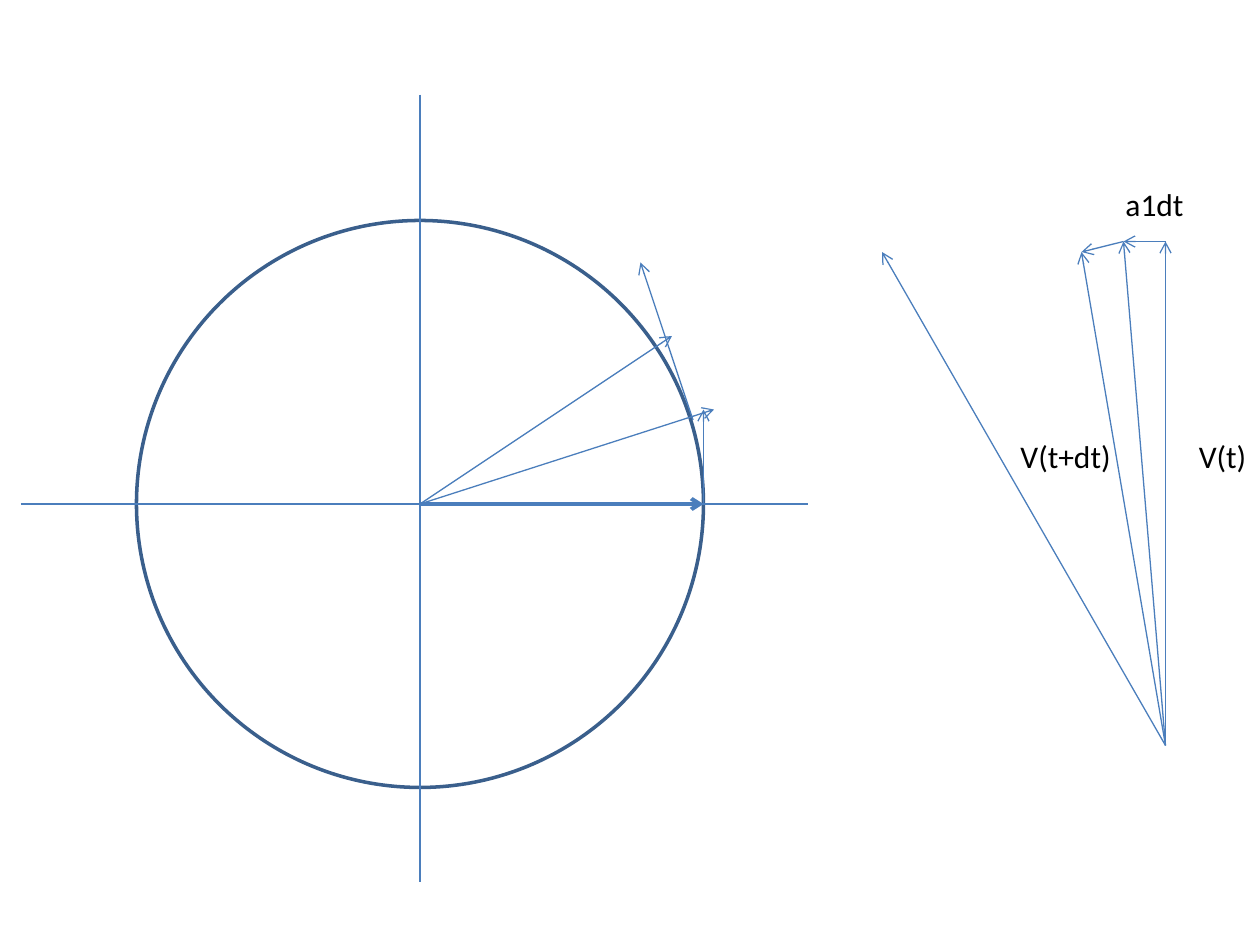
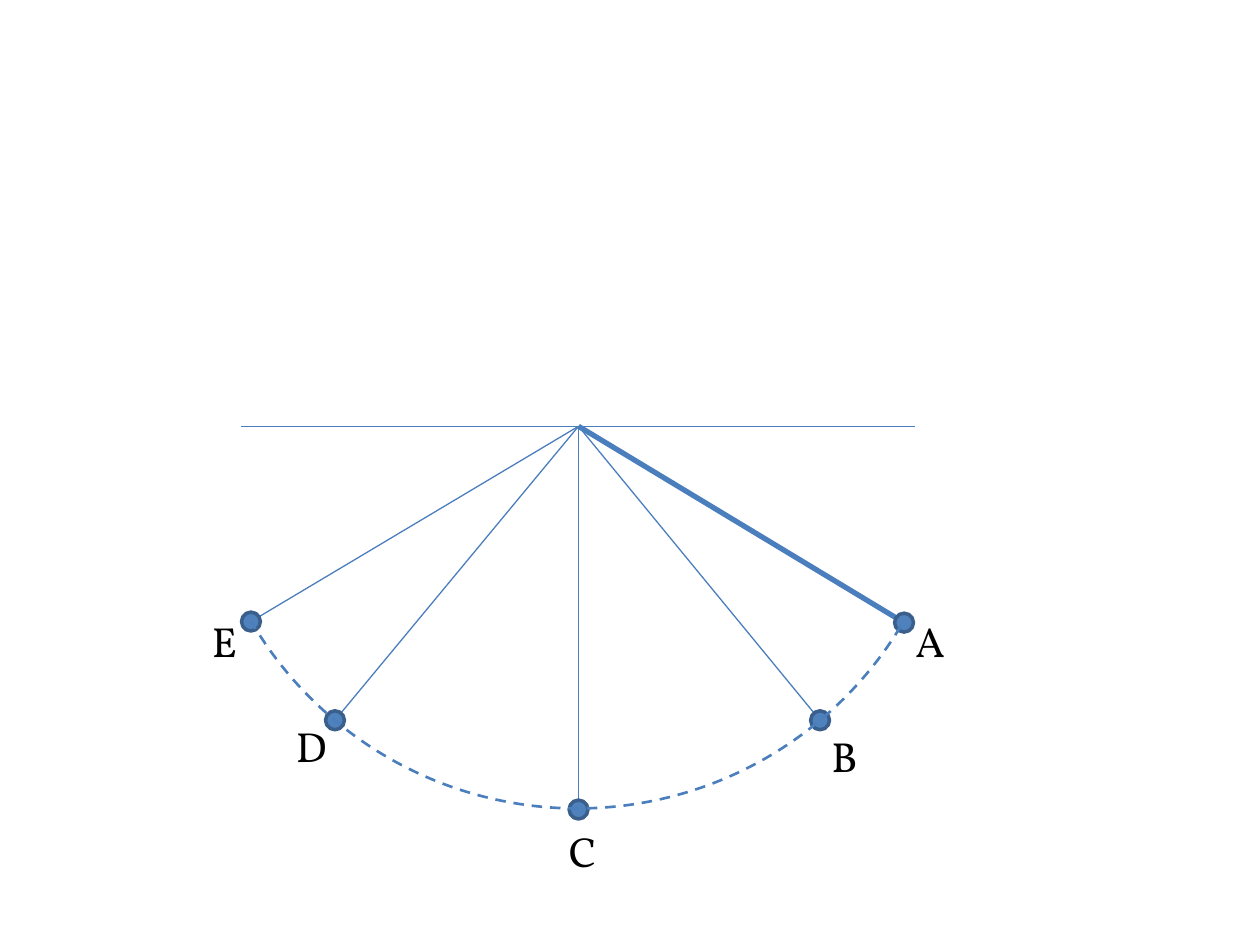
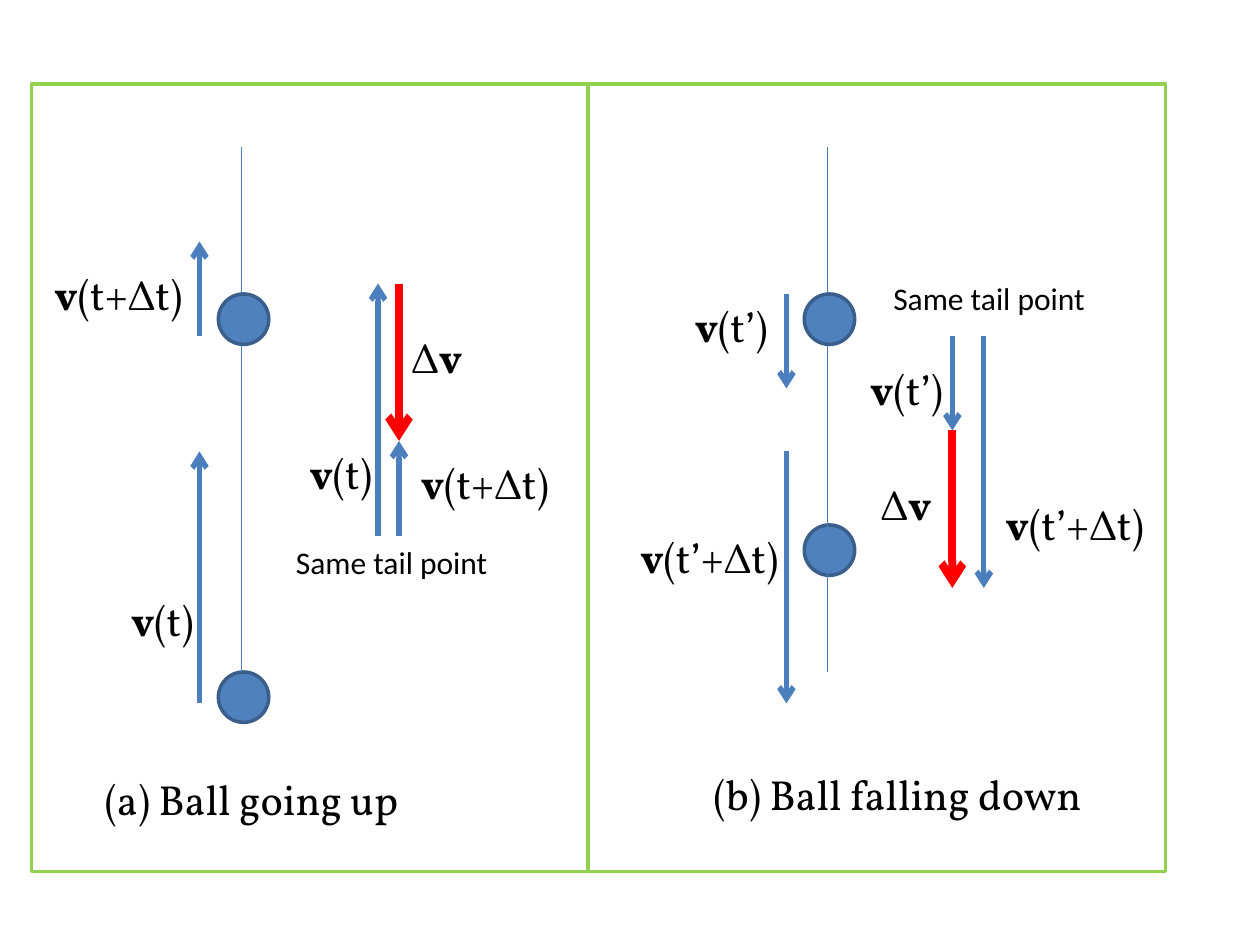
from lxml.etree import SubElement
from pptx import Presentation
from pptx.dml.color import RGBColor
from pptx.enum.dml import MSO_LINE_DASH_STYLE as DASH
from pptx.enum.shapes import MSO_CONNECTOR, MSO_SHAPE
from pptx.enum.text import MSO_AUTO_SIZE
from pptx.oxml.ns import qn
from pptx.util import Pt

# Scale: 120 px to the inch
PX = 7620
SLIDE_WIDTH, SLIDE_HEIGHT = 1200, 900

# Colours
BLACK = RGBColor(0x00, 0x00, 0x00)
BLUE = RGBColor(0x4B, 0x7E, 0xBC)
BALL_FILL = RGBColor(0x4F, 0x81, 0xBD)
BALL_EDGE = RGBColor(0x3A, 0x5F, 0x8C)
RED = RGBColor(0xFF, 0x00, 0x00)
GREEN = RGBColor(0x92, 0xD0, 0x50)

# Fonts: name, size in points, box height
SMALL = ("Calibri", 18, 48)
LARGE = ("Vollkorn", 24, 60)

# Vector labels: runs of (text, bold) and box width
V_T = ([("v", True), ("(t)", False)], 88)
V_T_DT = ([("v", True), ("(t+Δt)", False)], 151)
V_T2 = ([("v", True), ("(t’)", False)], 98)
V_T2_DT = ([("v", True), ("(t’+Δt)", False)], 163)
DELTA_V = ([("Δ", False), ("v", True)], 74)


def plain(text, width):
    return [(text, False)], width


def add_line(shapes, start, end, color=BLUE, weight=0.75, arrow=False):
    points = [value * PX for value in (*start, *end)]
    line = shapes.add_connector(MSO_CONNECTOR.STRAIGHT, *points)
    line.line.color.rgb = color
    line.line.width = Pt(weight)
    if arrow:
        SubElement(line.line._get_or_add_ln(), qn("a:tailEnd"), type="arrow")
    SubElement(line._element.spPr, qn("a:effectLst"))


def add_outline(shapes, kind, left, top, width, height, color, weight=2, fill=None):
    box = [value * PX for value in (left, top, width, height)]
    shape = shapes.add_shape(kind, *box)
    shape.shadow.inherit = False
    if fill is None:
        shape.fill.background()
    else:
        shape.fill.solid()
        shape.fill.fore_color.rgb = fill
    shape.line.color.rgb = color
    shape.line.width = Pt(weight)
    return shape


def add_ball(shapes, left, top, size):
    add_outline(shapes, MSO_SHAPE.OVAL, left, top, size, size, BALL_EDGE, fill=BALL_FILL)


def add_label(shapes, left, top, label, style=LARGE):
    runs, width = label
    name, size, height = style
    box = shapes.add_textbox(left * PX, top * PX, width * PX, height * PX)
    frame = box.text_frame
    frame.word_wrap = False
    frame.auto_size = MSO_AUTO_SIZE.SHAPE_TO_FIT_TEXT
    for text, bold in runs:
        run = frame.paragraphs[0].add_run()
        run.text = text
        run.font.name = name
        run.font.size = Pt(size)
        run.font.bold = bold
        run.font.color.rgb = BLACK


def draw_circular_motion(shapes):
    # Velocity vectors from a common tail, and the changes between them
    tail, first, second, third = (1110, 710), (1110, 230), (1070, 230), (1030, 240)
    for tip in (first, second, third, (840, 240)):
        add_line(shapes, tail, tip, arrow=True)
    for start, end in ((first, second), (second, third)):
        add_line(shapes, start, end, arrow=True)
    for left, top, text, width in (
        (1060, 170, "a1dt", 80),
        (1130, 410, "V(t)", 70),
        (960, 410, "V(t+dt)", 112),
    ):
        add_label(shapes, left, top, plain(text, width), SMALL)

    # Circle with its axes
    x, y, radius, reach = 400, 480, 270, 375
    add_outline(shapes, MSO_SHAPE.OVAL, x - radius, y - radius,
                2 * radius, 2 * radius, BALL_EDGE)
    add_line(shapes, (x - reach - 5, y), (x + reach - 5, y))
    add_line(shapes, (x, 90), (x, 90 + 2 * reach))

    # Position vectors and tangents
    add_line(shapes, (x, y), (x + radius, y), weight=2.25, arrow=True)
    for tip in ((680, 390), (640, 320)):
        add_line(shapes, (x, y), tip, arrow=True)
    add_line(shapes, (x + radius, y), (x + radius, 390), arrow=True)
    add_line(shapes, (660, 400), (610, 250), arrow=True)


def draw_pendulum(shapes):
    pivot, size, radius = (551, 406), 18, 360
    # Name, bob centre, label corner, label width, string weight
    bobs = (
        ("A", (861, 593), (860, 580), 55, 3),
        ("B", (781, 686), (780, 690), 49, 0.75),
        ("C", (551, 771), (530, 780), 53, 0.75),
        ("D", (319, 686), (270, 680), 55, 0.75),
        ("E", (239, 592), (190, 580), 49, 0.75),
    )
    add_line(shapes, (230, pivot[1]), (871, pivot[1]))
    for name, center, corner, width, weight in bobs:
        add_line(shapes, pivot, center, weight=weight)
        add_ball(shapes, center[0] - size // 2, center[1] - size // 2, size)
        add_label(shapes, *corner, plain(name, width))

    # Swing path, angles in degrees clockwise from the right
    path = add_outline(shapes, MSO_SHAPE.ARC, 190, 50, 2 * radius, 2 * radius, BLUE, 1.5)
    path.line.dash_style = DASH.DASH
    for index, angle in enumerate((31.2, 149.6)):
        path.adjustments[index] = angle * 0.6


def draw_flight(shapes, x, lower_ball, arrows, change, labels):
    """Vertical path with two balls, velocity arrows and their change."""
    add_ball(shapes, x - 22, lower_ball, 48)
    add_line(shapes, (x, 640), (x, 140))
    add_ball(shapes, x - 22, 280, 48)
    for arrow_x, tail, tip in arrows:
        add_line(shapes, (arrow_x, tail), (arrow_x, tip), weight=3, arrow=True)
    change_x, tail, tip = change
    add_line(shapes, (change_x, tail), (change_x, tip), RED, 4.5, arrow=True)
    for left, top, label in labels:
        add_label(shapes, left, top, label)


def draw_ball_flights(shapes):
    # Ball going up
    draw_flight(
        shapes, 230, 640,
        arrows=((190, 320, 230), (190, 670, 430), (380, 510, 420), (360, 510, 270)),
        change=(380, 270, 420),
        labels=((113, 560, V_T), (40, 250, V_T_DT), (283, 420, V_T),
                (389, 430, V_T_DT), (380, 310, DELTA_V),
                (88, 731, plain("(a) Ball going up", 322))),
    )
    # Ball falling down
    draw_flight(
        shapes, 788, 500,
        arrows=((749, 280, 370), (749, 430, 670), (907, 320, 410), (937, 320, 560)),
        change=(907, 410, 560),
        labels=((598, 500, V_T2_DT), (650, 280, V_T2), (817, 340, V_T2),
                (946, 469, V_T2_DT), (827, 450, DELTA_V),
                (668, 726, plain("(b) Ball falling down", 391))),
    )
    for left, top in ((270, 511), (839, 260)):
        add_label(shapes, left, top, plain("Same tail point", 209), SMALL)

    # Panel frames
    for left, width in ((30, 530), (560, 550)):
        add_outline(shapes, MSO_SHAPE.RECTANGLE, left, 80, width, 750, GREEN)


def main():
    presentation = Presentation()
    presentation.slide_width = SLIDE_WIDTH * PX
    presentation.slide_height = SLIDE_HEIGHT * PX
    blank = presentation.slide_layouts[6]
    draw_circular_motion(presentation.slides.add_slide(blank).shapes)
    draw_pendulum(presentation.slides.add_slide(blank).shapes.add_group_shape().shapes)
    draw_ball_flights(presentation.slides.add_slide(blank).shapes)
    presentation.save("out.pptx")


if __name__ == "__main__":
    main()
